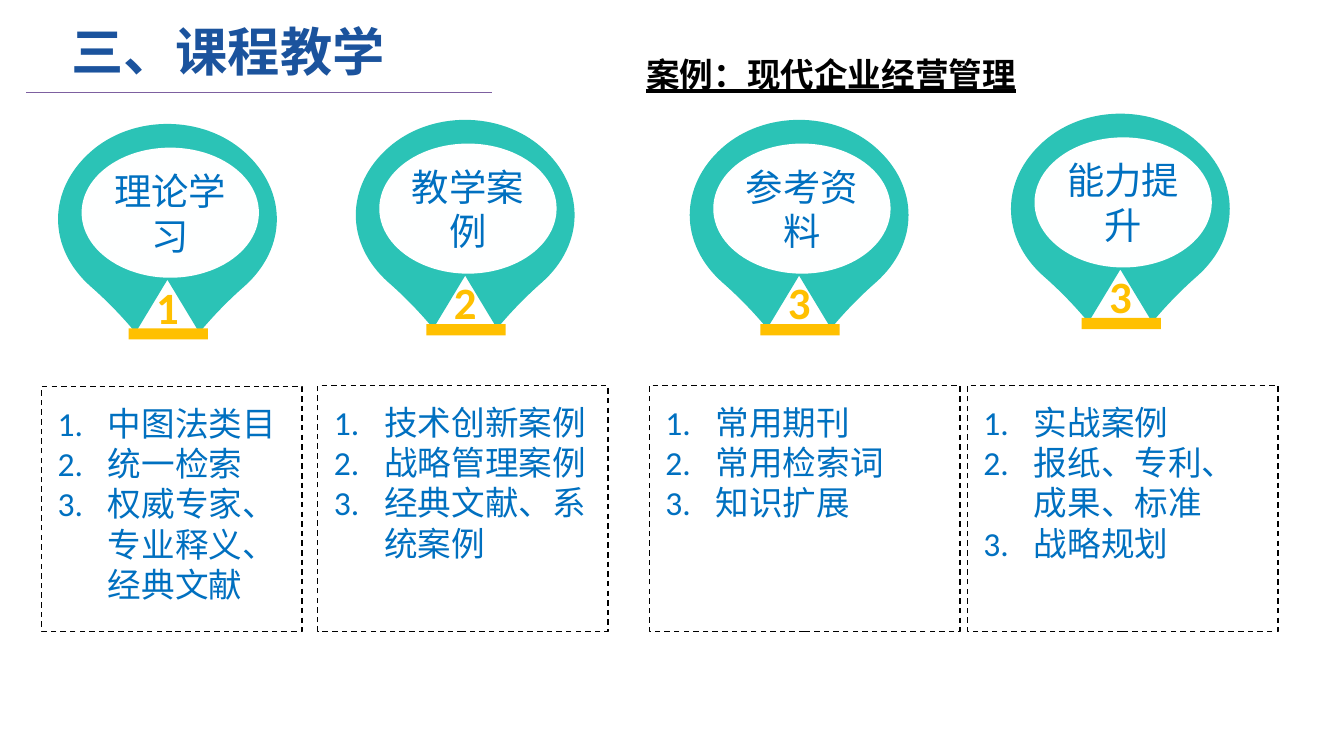
from pptx import Presentation
from pptx.dml.color import RGBColor
from pptx.enum.dml import MSO_LINE
from pptx.enum.shapes import MSO_CONNECTOR, MSO_SHAPE
from pptx.enum.text import MSO_ANCHOR, MSO_AUTO_SIZE, PP_ALIGN
from pptx.oxml.ns import qn
from pptx.util import Pt
from lxml.etree import SubElement

TITLE = "三、课程教学"
CASE = "案例：现代企业经营管理"
# Pin: label, number, centre x, top. Card: left, top, width, items.
TOPICS = [
    dict(pin=("理论学习", "1", 89.7, 66.4),
         card=(22.2, 207.1, 139.7,
               ["中图法类目", "统一检索", "权威专家、专业释义、经典文献"])),
    dict(pin=("教学案例", "2", 249.2, 64.2),
         card=(170.2, 206.6, 155.5,
               ["技术创新案例", "战略管理案例", "经典文献、系统案例"])),
    dict(pin=("参考资料", "3", 428.1, 64.2),
         card=(347.8, 206.6, 166.5, ["常用期刊", "常用检索词", "知识扩展"])),
    dict(pin=("能力提升", "3", 600.2, 60.9),
         card=(518.2, 206.6, 166.5,
               ["实战案例", "报纸、专利、成果、标准", "战略规划"])),
]
BASE = 338.2  # bottom of all cards

# Right half of the pin, from its top centre: four Bézier curves, then the foot
ARCS = [
    (0, 0), (15, 0), (30, 5), (41.2, 15),
    (52.7, 25.2), (58.6, 38.1), (58.6, 51),
    (58.6, 63.9), (52.7, 76.8), (41.2, 87),
    (33, 94.2), (25.4, 102), (18.6, 110),
]
FOOT = [(17.2, 112), (0, 83.5)]
HALF = ARCS + FOOT
OUTLINE = HALF + [(-x, y) for x, y in reversed(HALF[:-1])]
SPAN = len(ARCS) - 1  # curve points on each side

THEME = dict(
    teal="2BC3B6", white="FEFFFF", gold="FFC000", rule="7D60A0", black="000000",
    bullet="Noto Sans CJK SC",
    title=dict(name="Noto Sans CJK SC", size=28, color="1B539D", bold=True),
    case=dict(name="Calibri", size=18, color="000000", bold=True, underline=True),
    number=dict(name="Calibri", size=24, color="FFC000", bold=True),
    label=dict(name="Calibri", size=20, color="0070C0"),
    item=dict(name="Calibri", size=18, color="0070C0"),
)


def rgb(key):
    return RGBColor.from_string(THEME.get(key, key))


def write(shape, lines, style, align=PP_ALIGN.LEFT, pad=None, anchor=MSO_ANCHOR.TOP):
    """Fill a shape with one paragraph per line; pad is left, top, right, bottom."""
    frame = shape.text_frame
    form = dict(word_wrap=True, auto_size=MSO_AUTO_SIZE.NONE, vertical_anchor=anchor)
    sides = ("margin_left", "margin_top", "margin_right", "margin_bottom")
    form.update(zip(sides, map(Pt, pad or (7.2, 3.6, 7.2, 3.6))))
    for key, value in form.items():
        setattr(frame, key, value)
    for i, line in enumerate(lines):
        para = frame.add_paragraph() if i else frame.paragraphs[0]
        para.alignment = align
        run = para.add_run()
        run.text = line
        for key, value in THEME[style].items():
            if key == "color":
                run.font.color.rgb = rgb(value)
            else:
                setattr(run.font, key, Pt(value) if key == "size" else value)
        SubElement(run.font._element, qn("a:ea"), typeface=THEME[style]["name"])
    return frame


def paint(shape, color):
    shape.shadow.inherit = False
    shape.fill.solid()
    shape.fill.fore_color.rgb = rgb(color)
    shape.line.fill.background()


def bend(shape):
    """Turn each three line points of the pin's two arcs into one Bézier curve."""
    lines = list(shape._element.iter(qn("a:lnTo")))
    last = len(OUTLINE) - 1
    for side in (lines[:SPAN], lines[last - SPAN:last]):
        for i in range(0, SPAN, 3):
            trio = side[i:i + 3]
            arc = trio[0].makeelement(qn("a:cubicBezTo"), {})
            trio[0].addprevious(arc)
            for line in trio:
                arc.append(line[0])
                line.getparent().remove(line)


def add_pin(slide, label, number, mid, top):
    shapes = slide.shapes.add_group_shape().shapes
    spots = [(Pt(mid + x), Pt(top + y)) for x, y in OUTLINE]
    pen = shapes.build_freeform(*spots[0], scale=1.0)
    pen.add_line_segments(spots[1:])
    body = pen.convert_to_shape()
    bend(body)
    paint(body, "teal")
    write(body, [number], "number", PP_ALIGN.CENTER, (7.2, 3.6, 7.2, 0),
          MSO_ANCHOR.BOTTOM)
    disc = shapes.add_shape(MSO_SHAPE.OVAL, Pt(mid - 46), Pt(top + 12.7),
                            Pt(95), Pt(69.7))
    paint(disc, "white")
    write(disc, [label], "label", PP_ALIGN.CENTER, (0, 0, 0, 0), MSO_ANCHOR.MIDDLE)
    bar = shapes.add_shape(MSO_SHAPE.RECTANGLE, Pt(mid - 20.8), Pt(top + 109.5),
                           Pt(42.5), Pt(6))
    paint(bar, "gold")


def add_card(slide, left, top, width, items):
    card = slide.shapes.add_shape(MSO_SHAPE.RECTANGLE, Pt(left), Pt(top),
                                  Pt(width), Pt(BASE - top))
    card.shadow.inherit = False
    card.fill.background()
    card.line.color.rgb = rgb("black")
    card.line.width = Pt(0.75)
    card.line.dash_style = MSO_LINE.DASH
    for para in write(card, items, "item", pad=(8.64,) * 4).paragraphs:
        props = para._p.get_or_add_pPr()
        props.set("marL", str(Pt(27)))
        props.set("indent", str(-Pt(27)))
        SubElement(props, qn("a:buFont"), typeface=THEME["bullet"])
        SubElement(props, qn("a:buAutoNum"), type="arabicPeriod")


def main():
    deck = Presentation()
    deck.slide_width, deck.slide_height = Pt(720), Pt(405)
    slide = deck.slides.add_slide(deck.slide_layouts[5])

    title = slide.shapes.title
    place = dict(left=31, top=9.7, width=232.5, height=34.5)
    for key, value in place.items():
        setattr(title, key, Pt(value))
    write(title, [TITLE], "title", anchor=MSO_ANCHOR.MIDDLE)

    case = slide.shapes.add_textbox(Pt(339.1), Pt(25.3), Pt(251.3), Pt(31))
    write(case, [CASE], "case").paragraphs[0].space_before = Pt(3.6)

    rule = slide.shapes.add_connector(MSO_CONNECTOR.STRAIGHT, Pt(14.2), Pt(49.6),
                                      Pt(263.5), Pt(49.6))
    rule.line.color.rgb = rgb("rule")
    rule.line.width = Pt(0.75)
    SubElement(rule._element.spPr, qn("a:effectLst"))

    for topic in TOPICS:
        add_pin(slide, *topic["pin"])
        add_card(slide, *topic["card"])
    deck.save("out.pptx")


if __name__ == "__main__":
    main()
